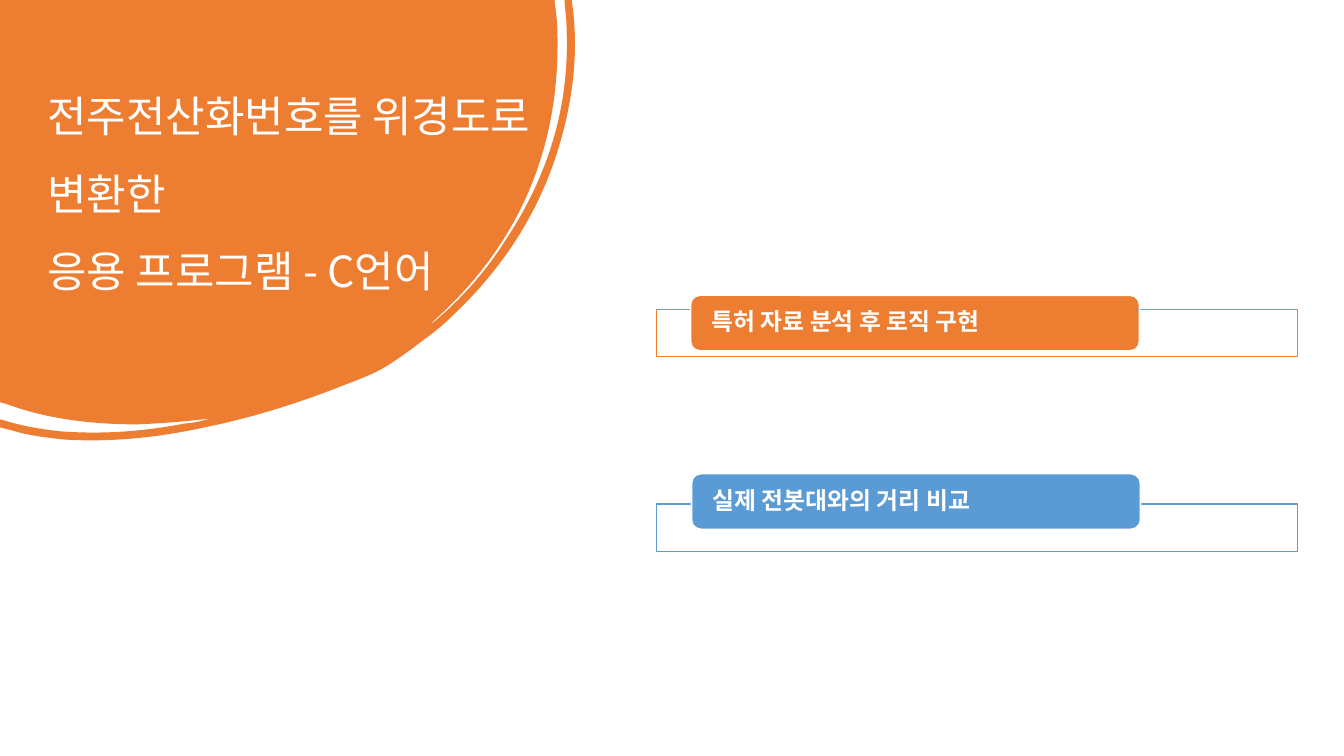
from lxml.etree import SubElement
from pptx import Presentation
from pptx.dml.color import RGBColor
from pptx.enum.shapes import MSO_SHAPE
from pptx.enum.text import MSO_ANCHOR, PP_ALIGN
from pptx.oxml.ns import qn
from pptx.util import Pt

EMU_PER_PX = 9144  # 100 px to the inch
FONT = "Noto Sans CJK KR"
WHITE = RGBColor(0xFF, 0xFF, 0xFF)
ORANGE = RGBColor(0xED, 0x7D, 0x31)
BLUE = RGBColor(0x5B, 0x9B, 0xD5)

# Brush blob in px: two numbers are a line's end, six are a Bézier curve
BLOB = [
    (0, 0), (550, 0), (552, 17),
    (553, 26, 553, 36, 553, 45), (553, 101, 542, 154, 518, 204),
    (496, 249, 465, 288, 427, 321), (429, 321, 430, 319, 432, 318),
    (459, 295, 482, 269, 501, 239), (543, 176, 565, 107, 562, 30),
    (562, 21, 561, 12, 560, 3), (560, 0), (567, 0), (568, 7),
    (574, 54, 568, 102, 553, 150), (533, 214, 497, 268, 448, 314),
    (439, 323, 429, 331, 419, 338), (409, 346, 399, 353, 387, 361),
    (375, 369, 360, 375, 344, 381), (299, 399, 252, 414, 203, 424),
    (157, 434, 110, 439, 63, 436), (45, 434, 28, 432, 12, 427),
    (0, 424), (0, 416), (4, 417),
    (23, 423, 42, 426, 61, 428), (103, 431, 143, 428, 184, 420),
    (189, 420, 193, 419, 198, 418), (202, 417, 206, 416, 210, 415),
    (186, 418, 161, 420, 136, 421), (92, 421, 48, 416, 7, 401),
    (0, 399),
]

# Caption, colour, frame top, label left, label top
STEPS = [
    ("특허 자료 분석 후 로직 구현", ORANGE, 307, 685, 293),
    ("실제 전봇대와의 거리 비교", BLUE, 500, 686, 470),
]


def px(*lengths):
    return [round(length * EMU_PER_PX) for length in lengths]


def add_blob(slide, segments, color):
    start, *rest = segments
    points = [px(*segment[i:i + 2]) for segment in rest
              for i in range(0, len(segment), 2)]
    builder = slide.shapes.build_freeform(*px(*start))
    builder.add_line_segments(points, close=True)
    blob = builder.convert_to_shape()
    blob.shadow.inherit = False
    blob.fill.solid()
    blob.fill.fore_color.rgb = color
    blob.line.fill.background()

    # Join the three points of each curve into one Bézier segment
    lines = iter(list(blob._element.iter(qn("a:lnTo"))))
    for segment in rest:
        first = next(lines)
        if len(segment) == 6:
            first.tag = qn("a:cubicBezTo")
            for _ in range(2):
                control = next(lines)
                first.append(control[0])
                control.getparent().remove(control)


def add_box(slide, preset, box, fill, line):
    shape = slide.shapes.add_shape(preset, *px(*box))
    shape.shadow.inherit = False
    shape.fill.solid()
    shape.fill.fore_color.rgb = fill
    shape.line.color.rgb = line
    shape.line.width = Pt(1)
    return shape


def set_text(frame, text, size, spacing, margins, anchor, bold=False):
    frame.word_wrap = True
    frame.vertical_anchor = anchor
    (frame.margin_left, frame.margin_top,
     frame.margin_right, frame.margin_bottom) = px(*margins)
    paragraph = frame.paragraphs[0]
    paragraph.text = text
    paragraph.alignment = PP_ALIGN.LEFT
    paragraph.line_spacing = spacing
    font = paragraph.font
    font.size, font.bold, font.name = Pt(size), bold, FONT
    font.color.rgb = WHITE
    # Korean letters take the East Asian typeface
    defaults = paragraph._p.pPr.find(qn("a:defRPr"))
    SubElement(defaults, qn("a:ea"), typeface=FONT)
    return paragraph


def add_title(slide, text):
    title = slide.shapes.add_textbox(*px(38, 59, 505, 233))
    set_text(title.text_frame, text, 30.6, 1.5, (9, 5, 9, 5), MSO_ANCHOR.TOP)


def add_step(slide, caption, color, frame_top, label_left, label_top):
    frame = add_box(slide, MSO_SHAPE.RECTANGLE, (651, frame_top, 636, 47), WHITE, color)
    frame_color = frame.fill._xPr.find(qn("a:solidFill"))[0]
    SubElement(frame_color, qn("a:alpha"), val="90000")
    label = add_box(slide, MSO_SHAPE.ROUNDED_RECTANGLE,
                    (label_left, label_top, 445, 55), color, WHITE)
    paragraph = set_text(label.text_frame, caption, 17, 0.9, (18, 3, 18, 3),
                         MSO_ANCHOR.MIDDLE, bold=True)
    paragraph.space_after = Pt(6)


def main():
    deck = Presentation()
    deck.slide_width, deck.slide_height = px(1333, 750)
    slide = deck.slides.add_slide(deck.slide_layouts[6])

    # Title on the brush blob
    add_blob(slide, BLOB, ORANGE)
    add_title(slide, "전주전산화번호를 위경도로 변환한\v응용 프로그램 - C언어")

    # Framed steps
    for step in STEPS:
        add_step(slide, *step)

    deck.save("out.pptx")


if __name__ == "__main__":
    main()
